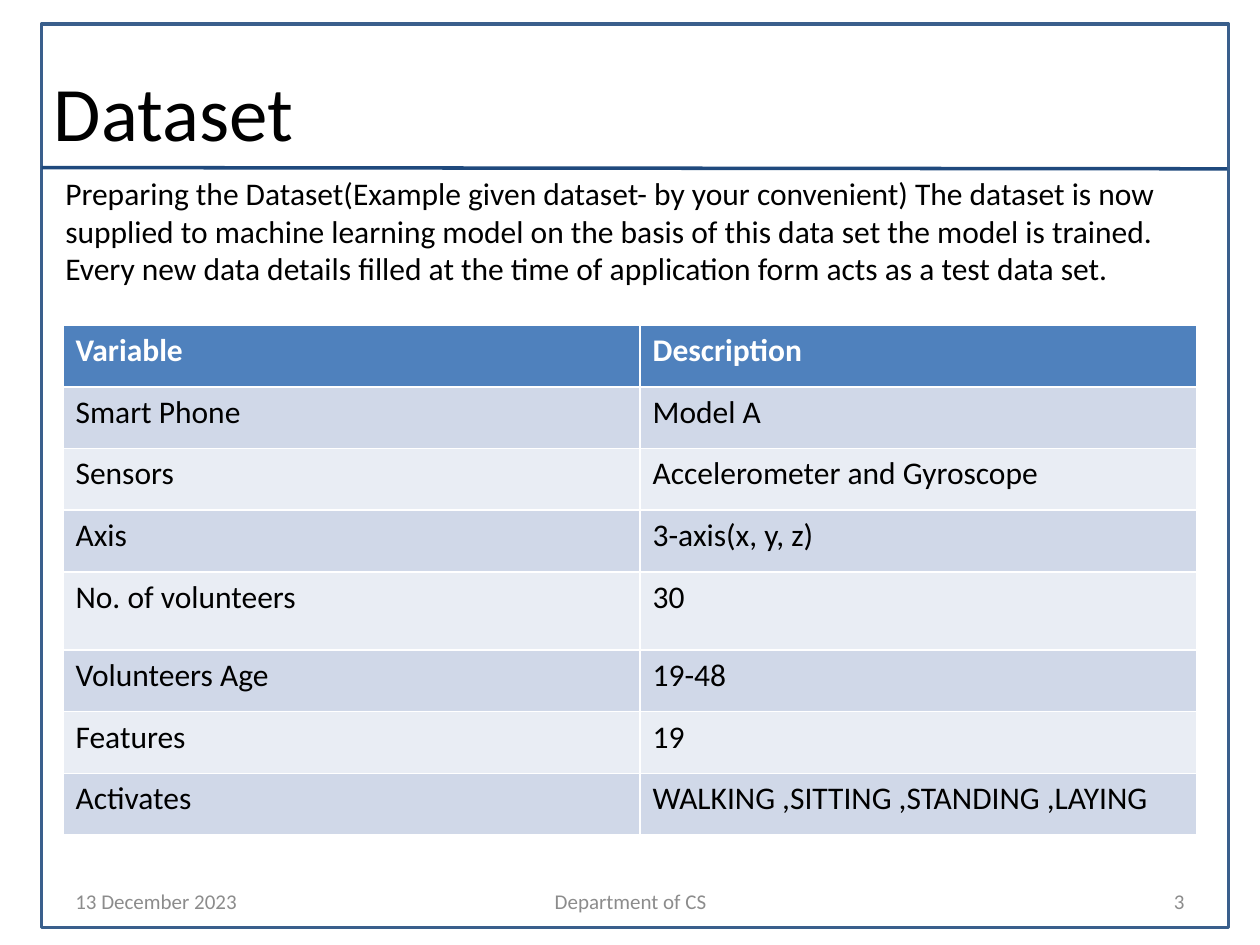
from lxml.etree import SubElement
from pptx import Presentation
from pptx.dml.color import RGBColor
from pptx.enum.shapes import MSO_CONNECTOR, MSO_SHAPE
from pptx.enum.text import MSO_ANCHOR, PP_ALIGN
from pptx.oxml.ns import qn
from pptx.util import Inches, Pt

INTRO = (
    "Preparing the Dataset(Example given dataset- by your convenient) "
    "The dataset is now supplied to machine learning model on the basis of "
    "this data set the model is trained. Every new data details filled at "
    "the time of application form acts as a test data set."
)
VARIABLES = [
    ("Variable", "Description"),
    ("Smart Phone", "Model A"),
    ("Sensors", "Accelerometer and Gyroscope"),
    ("Axis", "3-axis(x, y, z)"),
    ("No. of volunteers", "30"),
    ("Volunteers Age", "19-48"),
    ("Features", "19"),
    ("Activates", "WALKING ,SITTING ,STANDING ,LAYING"),
]
COLUMN_WIDTHS = (4.58, 4.42)
ROW_HEIGHT = 0.49
TALL_ROW, TALL_HEIGHT = 4, 0.62
HEADER_FILL = "4F81BD"
BAND_FILLS = ("E9EDF4", "D0D8E8")


def color(value):
    return RGBColor.from_string(value)


def write(frame, text, size=18, ink="000000", bold=False, align=PP_ALIGN.LEFT,
          anchor=MSO_ANCHOR.TOP):
    frame.word_wrap = True
    frame.vertical_anchor = anchor
    paragraph = frame.paragraphs[0]
    paragraph.alignment = align
    run = paragraph.add_run()
    run.text = text
    run.font.name = "Calibri"
    run.font.size = Pt(size)
    run.font.bold = bold
    run.font.color.rgb = color(ink)


def add_text(slide, place, text, **style):
    box = slide.shapes.add_textbox(*map(Inches, place))
    write(box.text_frame, text, **style)


def add_border(slide):
    border = slide.shapes.add_shape(
        MSO_SHAPE.RECTANGLE, *map(Inches, (0.33, 0.19, 9.42, 7.17)))
    border.shadow.inherit = False
    border.fill.background()
    border.line.color.rgb = color("3A5F8C")
    border.line.width = Pt(2)


def add_title_rule(slide):
    rule = slide.shapes.add_connector(
        MSO_CONNECTOR.STRAIGHT, *map(Inches, (0.33, 1.33, 9.74, 1.34)))
    rule.line.color.rgb = color("1F497D")
    rule.line.width = Pt(2)
    SubElement(rule._element.spPr, qn("a:effectLst"))


def add_variables(slide):
    table = slide.shapes.add_table(
        len(VARIABLES), len(COLUMN_WIDTHS),
        *map(Inches, (0.5, 2.58, 9, 4.05))).table
    for column, width in zip(table.columns, COLUMN_WIDTHS):
        column.width = Inches(width)
    for index, entries in enumerate(VARIABLES):
        header = index == 0
        height = TALL_HEIGHT if index == TALL_ROW else ROW_HEIGHT
        table.rows[index].height = Inches(height)
        for cell, entry in zip(table.rows[index].cells, entries):
            cell.fill.solid()
            cell.fill.fore_color.rgb = color(
                HEADER_FILL if header else BAND_FILLS[index % 2])
            write(cell.text_frame, entry, bold=header,
                  ink="FFFFFF" if header else "000000")


def add_footer(slide):
    for left, width, text, align in (
        (0.5, 2.33, "13 December 2023", PP_ALIGN.LEFT),
        (3.42, 3.17, "Department of CS", PP_ALIGN.CENTER),
        (7.17, 2.33, "3", PP_ALIGN.RIGHT),
    ):
        add_text(slide, (left, 6.95, width, 0.4), text, size=12,
                 ink="8C8C8C", align=align, anchor=MSO_ANCHOR.MIDDLE)


def main():
    presentation = Presentation()
    presentation.slide_width = Inches(10)
    presentation.slide_height = Inches(7.5)
    slide = presentation.slides.add_slide(presentation.slide_layouts[6])
    add_border(slide)
    add_title_rule(slide)
    add_text(slide, (0.33, 0.25, 9, 1.25), "Dataset", size=44,
             anchor=MSO_ANCHOR.MIDDLE)
    add_footer(slide)
    add_text(slide, (0.42, 1.33, 9.17, 1.01), INTRO)
    add_variables(slide)
    presentation.save("out.pptx")


if __name__ == "__main__":
    main()
